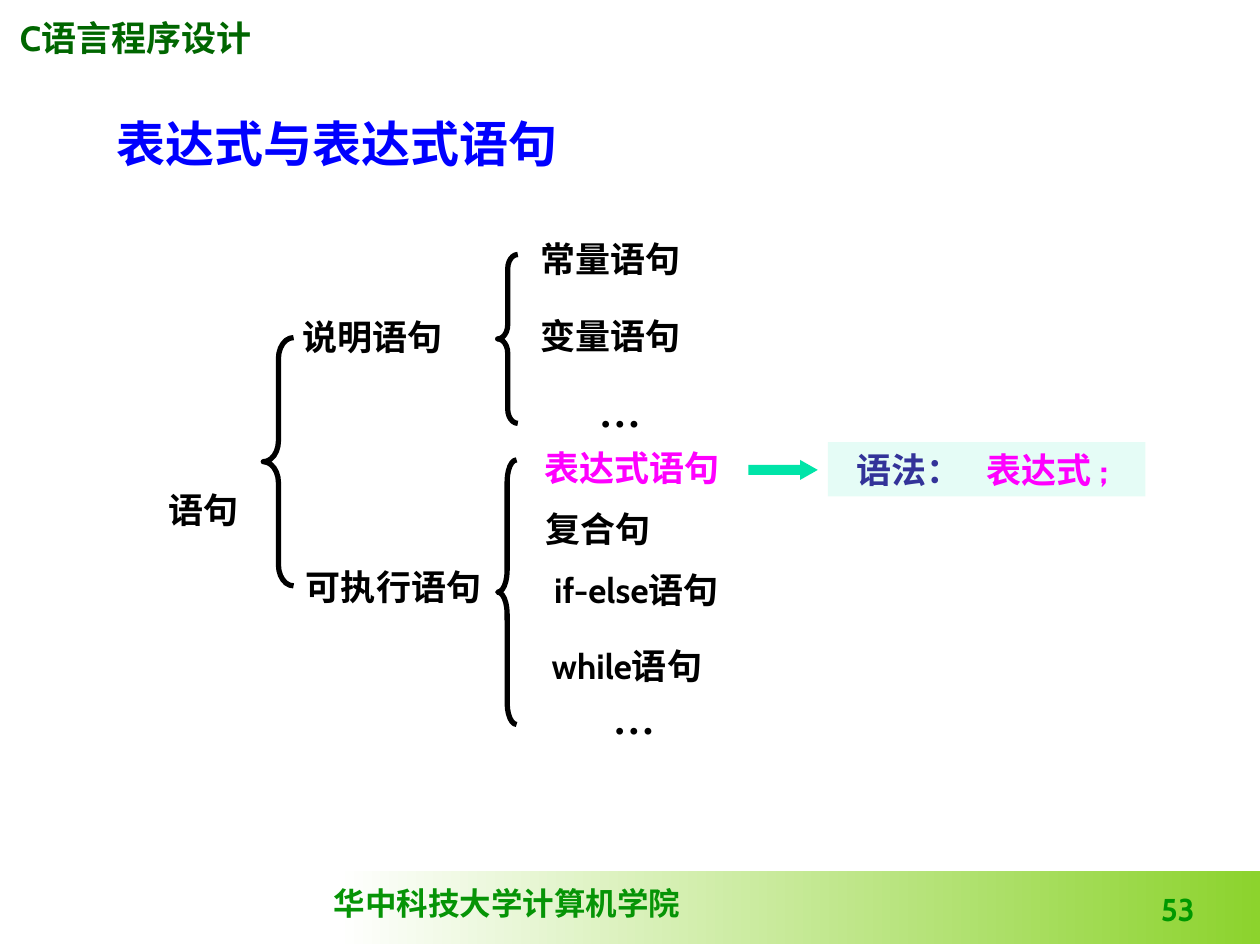
from lxml import etree
from pptx import Presentation
from pptx.dml.color import RGBColor
from pptx.enum.shapes import MSO_SHAPE
from pptx.enum.text import MSO_ANCHOR, PP_ALIGN
from pptx.oxml.ns import qn
from pptx.util import Inches, Pt

COLORS = {
    "black": "000000", "white": "FFFFFF", "lime": "8CD32D",
    "header": "006600", "footer": "069406", "number": "009900",
    "title": "0000FF", "accent": "FF00FF", "label": "333399", "mint": "00E4A8",
}
CABIN, TIMES = "Cabin", "Times New Roman"


def rgb(name):
    return RGBColor.from_string(COLORS[name])


class SlideBuilder:
    def __init__(self, slide):
        self.slide = slide
        self.style = {"size": Pt(20), "name": CABIN, "bold": True}

    def run(self, p, text, color="black", **changes):
        r = p.add_run()
        r.text = text
        for key, value in {**self.style, **changes}.items():
            setattr(r.font, key, value)
        r.font.color.rgb = rgb(color)

    def text(self, box, runs, align=PP_ALIGN.LEFT, anchor=MSO_ANCHOR.TOP, wrap=True):
        sp = self.slide.shapes.add_textbox(*map(Inches, box))
        tf = sp.text_frame
        tf.word_wrap, tf.vertical_anchor = wrap, anchor
        p = tf.paragraphs[0]
        p.alignment = align
        for text, color, changes in runs:
            self.run(p, text, color, **changes)

    def term(self, left, top, width, text, color="black", align=PP_ALIGN.LEFT):
        # The larger trailing space sets the line height
        runs = [(text, color, {}), (" ", color, {"size": Pt(24), "bold": False})]
        self.text((left, top, width, 0.5), runs, align, MSO_ANCHOR.MIDDLE, False)

    def dots(self, left, top):
        self.text((left, top, 1.38, 0.5),
                  [("…", "black", {"size": Pt(24), "name": TIMES})],
                  PP_ALIGN.CENTER, MSO_ANCHOR.MIDDLE)

    def shape(self, kind, box, fill=None, adjust=()):
        sp = self.slide.shapes.add_shape(kind, *map(Inches, box))
        sp.shadow.inherit = False
        sp.line.fill.background()
        if fill:
            sp.fill.solid()
            sp.fill.fore_color.rgb = rgb(fill)
        else:
            sp.fill.background()
        for i, value in enumerate(adjust):
            sp.adjustments[i] = value
        return sp

    def brace(self, box, adjust):
        sp = self.shape(MSO_SHAPE.LEFT_BRACE, box, adjust=adjust)
        sp.line.color.rgb = rgb("black")
        sp.line.width = Pt(3)

    def gradient_bar(self, box, start, end):
        sp = self.shape(MSO_SHAPE.RECTANGLE, box)
        sp.fill.gradient()
        sp.fill.gradient_angle = 0
        for stop, color, position in zip(sp.fill.gradient_stops, (start, end), (0, 1)):
            stop.color.rgb = rgb(color)
            stop.position = position

    def syntax_box(self, box, label, value, tab):
        sp = self.shape(MSO_SHAPE.RECTANGLE, box, "mint")
        clr = sp.fill._xPr.find(qn("a:solidFill"))[0]
        etree.SubElement(clr, qn("a:alpha"), val="10000")
        tf = sp.text_frame
        tf.margin_left = Inches(0.23)
        tf.vertical_anchor = MSO_ANCHOR.TOP
        p = tf.paragraphs[0]
        p.alignment = PP_ALIGN.LEFT
        tabs = etree.SubElement(p._p.get_or_add_pPr(), qn("a:tabLst"))
        etree.SubElement(tabs, qn("a:tab"), pos=str(Inches(tab)), algn="l")
        self.run(p, label + "\t", "label")
        self.run(p, value, "accent")


def main():
    prs = Presentation()
    prs.slide_width, prs.slide_height = Inches(10), Inches(7.5)
    s = SlideBuilder(prs.slides.add_slide(prs.slide_layouts[6]))

    # Footer band, course name and page number
    s.gradient_bar((2.67, 6.91, 7.33, 0.58), "white", "lime")
    s.text((2.55, 6.97, 2.95, 0.4),
           [("华中科技大学计算机学院", "footer", {"size": Pt(18), "name": TIMES})], wrap=False)
    s.text((0.06, 0.08, 2.05, 0.43),
           [("C", "header", {}), ("语言程序设计", "header", {"name": TIMES})])
    s.text((7.5, 6.95, 2.08, 0.46), [("53", "number", {"size": Pt(18)})],
           PP_ALIGN.RIGHT, MSO_ANCHOR.BOTTOM)

    # Title
    s.text((0.83, 0.84, 7.52, 0.58),
           [("表达式与表达式语句", "title", {"size": Pt(28), "name": TIMES})],
           anchor=MSO_ANCHOR.BOTTOM)

    # Statement tree
    s.term(1.22, 3.77, 0.79, "语句", align=PP_ALIGN.CENTER)
    for left, top, width, text, color in (
        (2.3, 2.4, 1.42, "说明语句", "black"),
        (2.33, 4.38, 1.7, "可执行语句", "black"),
        (4.19, 1.78, 1.42, "常量语句", "black"),
        (4.19, 2.39, 1.42, "变量语句", "black"),
        (4.22, 3.44, 1.7, "表达式语句", "accent"),
        (4.23, 3.92, 1.14, "复合句", "black"),
        (4.3, 4.41, 1.73, "if-else语句", "black"),
        (4.28, 5.01, 1.62, "while语句", "black"),
    ):
        s.term(left, top, width, text, color)
    s.dots(4.23, 3.01)
    s.dots(4.34, 5.45)

    # Braces
    s.brace((3.95, 2.02, 0.16, 1.34), (0.71, 0.5))
    s.brace((3.95, 3.65, 0.15, 2.1), (1.14, 0.5))
    s.brace((2.09, 2.68, 0.24, 1.97), (0.69, 0.5))

    # Syntax note
    s.syntax_box((6.57, 3.51, 2.52, 0.43), "语法：", "表达式 ;", 1.03)
    s.shape(MSO_SHAPE.RIGHT_ARROW, (5.94, 3.65, 0.55, 0.16), "mint", (0.5, 0.88))

    prs.save("out.pptx")


if __name__ == "__main__":
    main()
